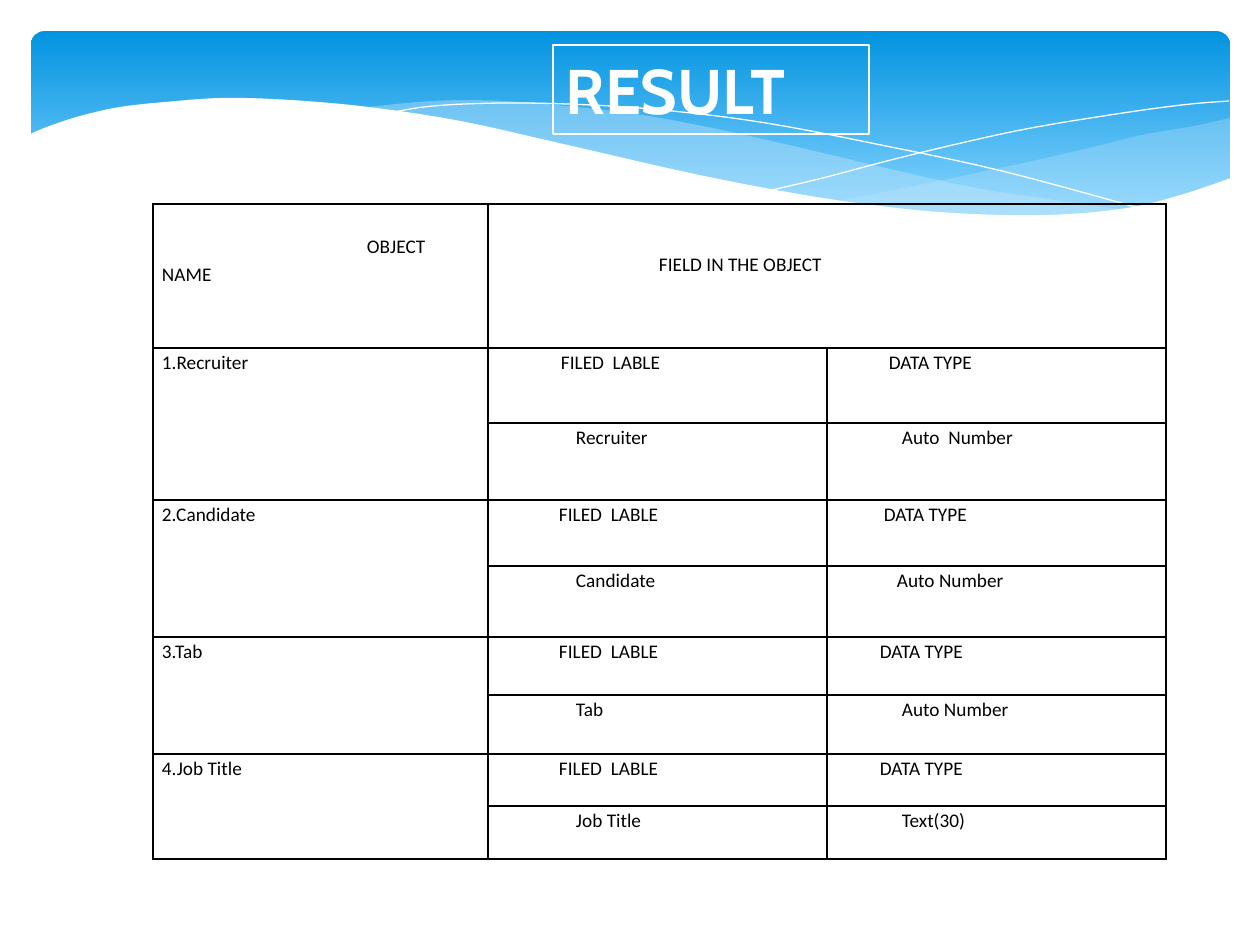
import dataclasses
import itertools

import lxml.etree
import pptx
import pptx.dml.color
import pptx.enum.shapes
import pptx.enum.text
import pptx.oxml.ns
import pptx.util

EMU_PER_PX = 914400 / 126


@dataclasses.dataclass(frozen=True)
class Theme:
    white: str = "FFFFFF"
    ink: str = "000000"
    sky_top: str = "0293E0"
    sky_bottom: str = "83D3FE"
    ribbon: str = "C6E7FC"
    title_font: str = "Cabin"
    body_font: str = "Calibri"
    title_size: int = 36
    body_size: int = 11


THEME = Theme()

# Wave edges, as knots of smooth curves
RIGHT_TOP = [(1230, 118), (1194, 126), (1142, 135), (1085, 149), (1014, 165),
             (919, 185), (833, 202)]
RIGHT_BOTTOM = [(833, 202), (888, 208), (954, 213), (1026, 217), (1087, 214),
                (1140, 205), (1187, 194), (1230, 178)]
MIDDLE_TOP = [(1125, 210), (1055, 200), (976, 188), (890, 169), (793, 146),
              (717, 129), (648, 116), (586, 108), (503, 101), (433, 101), (360, 108)]
MIDDLE_BOTTOM = [(360, 108), (431, 118), (509, 134), (566, 146), (668, 170),
                 (757, 189), (838, 203), (910, 212), (989, 217), (1056, 217), (1125, 210)]
FALLING_LINE = [(389, 113), (433, 106), (505, 103), (591, 105), (672, 111),
                (766, 123), (876, 144), (1002, 171), (1143, 209)]
RISING_LINE = [(772, 190), (823, 178), (907, 156), (1016, 131), (1110, 115),
               (1182, 105), (1229, 101)]
PAGE_EDGE = [(1231, 178), (1184, 194), (1133, 207), (1071, 214), (999, 215),
             (915, 210), (816, 197), (699, 175), (563, 144), (460, 121), (368, 107),
             (290, 100), (223, 98), (166, 102), (120, 107), (84, 115), (58, 123),
             (37, 131), (29, 135)]
PAGE_BASE = [(29, 282), (1231, 282)]

# Table grid and content; each text goes with its first-line indent in px
COLUMN_EDGES = [153, 488, 827, 1166]
ROW_EDGES = [204, 348, 423, 500, 566, 637, 695, 754, 806, 859]
OBJECTS = [
    ("1.Recruiter", ("FILED  LABLE", 64), ("DATA TYPE", 53),
     ("Recruiter", 79), ("Auto  Number", 66)),
    ("2.Candidate", ("FILED  LABLE", 62), ("DATA TYPE", 48),
     ("Candidate", 79), ("Auto Number", 61)),
    ("3.Tab", ("FILED  LABLE", 62), ("DATA TYPE", 44),
     ("Tab", 79), ("Auto Number", 66)),
    ("4.Job Title", ("FILED  LABLE", 62), ("DATA TYPE", 44),
     ("Job Title", 79), ("Text(30)", 66)),
]


def px(n):
    return pptx.util.Emu(round(n * EMU_PER_PX))


def rgb(color):
    return pptx.dml.color.RGBColor.from_string(color)


def write(tf, text, size=THEME.body_size, font=THEME.body_font, color=THEME.ink,
          bold=False, indent=0, spacing=None, after=0):
    p = tf.paragraphs[0]
    p.alignment = pptx.enum.text.PP_ALIGN.LEFT
    p.line_spacing = spacing
    p.space_after = pptx.util.Pt(after)
    if indent:
        p_pr = p._p.get_or_add_pPr()
        p_pr.set("marL", "0")
        p_pr.set("indent", str(px(indent)))
    r = p.add_run()
    r.text = text
    r.font.size = pptx.util.Pt(size)
    r.font.name = font
    r.font.bold = bold
    r.font.color.rgb = rgb(color)


def smooth(knots, steps=5):
    """Sample a Catmull-Rom curve through the knots."""
    padded = [knots[0], *knots, knots[-1]]
    points = [knots[0]]
    for a, b, c, d in zip(padded, padded[1:], padded[2:], padded[3:]):
        for i in range(1, steps + 1):
            t = i / steps
            points.append(tuple(
                (2 * q + (r - p) * t + (2 * p - 5 * q + 4 * r - s) * t ** 2
                 + (3 * q - p - 3 * r + s) * t ** 3) / 2
                for p, q, r, s in zip(a, b, c, d)))
    return points


def add_wave(s, points, fill=None, opacity=100, line=None):
    points = [(px(x), px(y)) for x, y in points]
    builder = s.shapes.build_freeform(*points[0], scale=1.0)
    builder.add_line_segments(points[1:], close=fill is not None)
    sp = builder.convert_to_shape()
    sp.shadow.inherit = False
    if fill:
        sp.fill.solid()
        sp.fill.fore_color.rgb = rgb(fill)
        if opacity < 100:
            clr = sp.fill._xPr.find(".//" + pptx.oxml.ns.qn("a:srgbClr"))
            lxml.etree.SubElement(clr, pptx.oxml.ns.qn("a:alpha"), val=str(opacity * 1000))
    else:
        sp.fill.background()
    if line:
        sp.line.color.rgb = rgb(line)
        sp.line.width = pptx.util.Pt(0)
    else:
        sp.line.fill.background()


def add_banner(s):
    sp = s.shapes.add_shape(pptx.enum.shapes.MSO_SHAPE.ROUNDED_RECTANGLE,
                            px(31), px(31), px(1199), px(197))
    sp.adjustments[0] = 0.07
    sp.shadow.inherit = False
    sp.line.fill.background()
    sp.fill.gradient()
    sp.fill.gradient_angle = 270
    stops = ((0, THEME.sky_top), (0.9, THEME.sky_bottom))
    for stop, (position, color) in zip(sp.fill.gradient_stops, stops):
        stop.position = position
        stop.color.rgb = rgb(color)
    add_wave(s, smooth(RIGHT_TOP) + smooth(RIGHT_BOTTOM), fill=THEME.ribbon, opacity=29)
    add_wave(s, smooth(MIDDLE_TOP) + smooth(MIDDLE_BOTTOM), fill=THEME.ribbon, opacity=40)
    for knots in (FALLING_LINE, RISING_LINE):
        add_wave(s, smooth(knots), line=THEME.white)
    add_wave(s, smooth(PAGE_EDGE) + PAGE_BASE, fill=THEME.white)


def place_title(s, text):
    sp = s.shapes.title
    s.shapes._spTree.append(sp._element)  # in front of the banner
    sp.left, sp.top, sp.width, sp.height = px(553), px(45), px(316), px(89)
    sp.line.color.rgb = rgb(THEME.white)
    sp.line.width = pptx.util.Pt(0.75)
    tf = sp.text_frame
    tf.auto_size = pptx.enum.text.MSO_AUTO_SIZE.NONE
    tf.vertical_anchor = pptx.enum.text.MSO_ANCHOR.MIDDLE
    write(tf, text, size=THEME.title_size, font=THEME.title_font,
          color=THEME.white, bold=True)


def format_cell(cell):
    cell.margin_left = cell.margin_right = px(9)
    cell.margin_top = cell.margin_bottom = 0
    cell.fill.background()
    tc_pr = cell._tc.get_or_add_tcPr()
    for i, side in enumerate(("lnL", "lnR", "lnT", "lnB")):
        ln = lxml.etree.Element(pptx.oxml.ns.qn("a:" + side), w=str(pptx.util.Pt(1)))
        fill = lxml.etree.SubElement(ln, pptx.oxml.ns.qn("a:solidFill"))
        lxml.etree.SubElement(fill, pptx.oxml.ns.qn("a:srgbClr"), val=THEME.ink)
        tc_pr.insert(i, ln)


def fill_cell(cell, text, indent=0):
    write(cell.text_frame, text, indent=indent, spacing=1.15, after=10)


def add_object_table(s):
    widths = [b - a for a, b in itertools.pairwise(COLUMN_EDGES)]
    heights = [b - a for a, b in itertools.pairwise(ROW_EDGES)]
    table = s.shapes.add_table(len(heights), len(widths), px(COLUMN_EDGES[0]),
                               px(ROW_EDGES[0]), px(sum(widths)), px(sum(heights))).table
    table.first_row = table.horz_banding = False
    for column, width in zip(table.columns, widths):
        column.width = px(width)
    for row, height in zip(table.rows, heights):
        row.height = px(height)
    for cell in table.iter_cells():
        format_cell(cell)

    # Header row
    name, field = table.cell(0, 0), table.cell(0, 1)
    field.merge(table.cell(0, 2))
    name.margin_top, name.margin_right = px(28), px(14)
    field.margin_top = px(46)
    fill_cell(name, "OBJECT NAME", 205)
    fill_cell(field, "FIELD IN THE OBJECT", 162)

    # Two rows for each object
    for i, (title, *details) in enumerate(OBJECTS):
        top = 1 + 2 * i
        table.cell(top, 0).merge(table.cell(top + 1, 0))
        fill_cell(table.cell(top, 0), title)
        for j, (text, indent) in enumerate(details):
            fill_cell(table.cell(top + j // 2, 1 + j % 2), text, indent)


def main():
    prs = pptx.Presentation()
    prs.slide_width, prs.slide_height = px(1260), px(945)
    s = prs.slides.add_slide(prs.slide_layouts[5])
    add_banner(s)
    place_title(s, "RESULT")
    add_object_table(s)
    prs.save("out.pptx")


if __name__ == "__main__":
    main()
